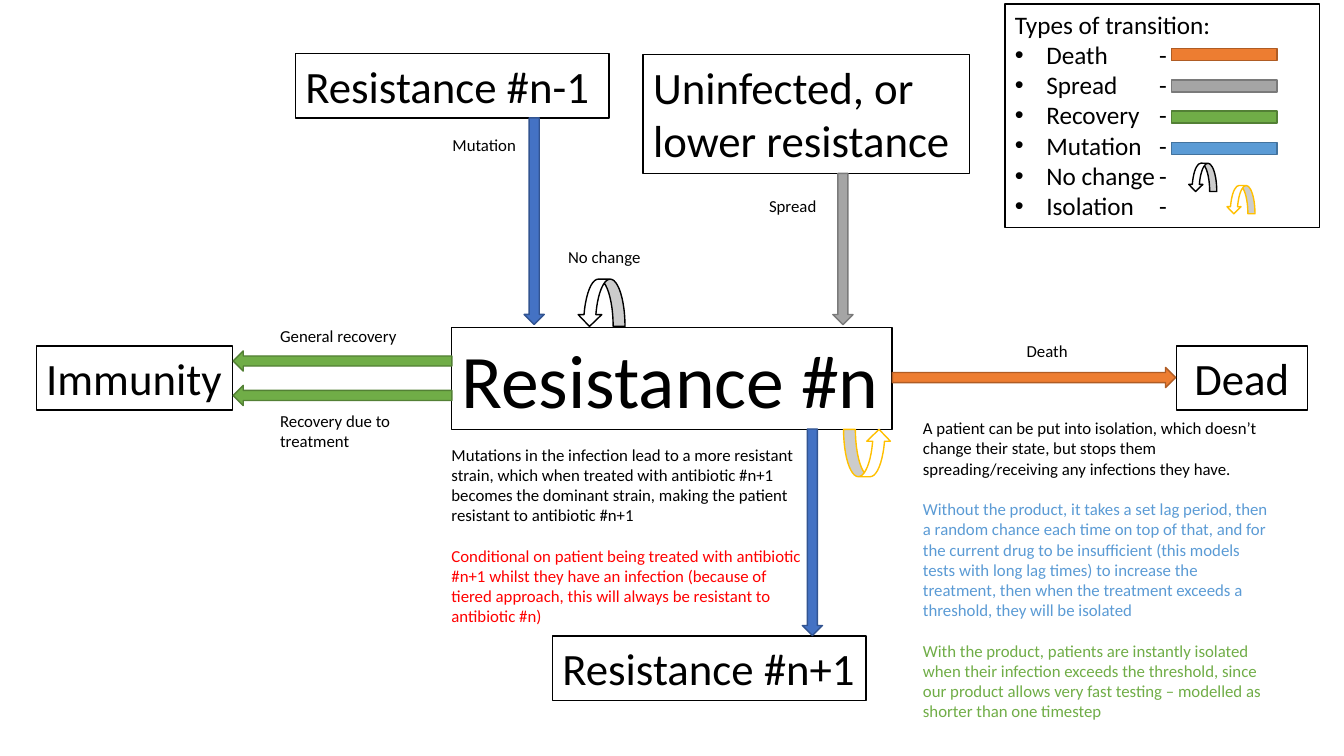
from lxml import etree
from pptx import Presentation
from pptx import util as u
from pptx.dml.color import RGBColor
from pptx.enum import shapes, text
from pptx.oxml import ns

Pt = u.Pt
Shape = shapes.MSO_SHAPE
BLACK, WHITE, RED, GOLD = "000000", "FFFFFF", "FF0000", "FFC000"
BLUE, ORANGE, GREY = ("4472C4", "325491"), ("ED7D31", "AF5C24"), ("A5A5A5", "7A7A7A")
GREEN, LIGHT_BLUE = ("70AD47", "538035"), ("5B9BD5", "43739E")

presentation = Presentation()
presentation.slide_width, presentation.slide_height = Pt(960), Pt(540)
slide = presentation.slides.add_slide(presentation.slide_layouts[6])


def add_figure(kind, box, fill, line, rotation=0):
    shape = slide.shapes.add_shape(kind, *map(Pt, box))
    shape.rotation = rotation
    shape.shadow.inherit = False
    shape.fill.solid()
    shape.fill.fore_color.rgb = RGBColor.from_string(fill)
    shape.line.color.rgb = RGBColor.from_string(line)
    shape.line.width = Pt(1)
    return shape


def write(shape, lines, size, gap=0, align=text.PP_ALIGN.LEFT):
    frame = shape.text_frame
    frame.word_wrap = True
    frame.vertical_anchor = text.MSO_ANCHOR.TOP
    for index, (words, color) in enumerate(lines):
        paragraph = frame.add_paragraph() if index else frame.paragraphs[0]
        paragraph.text = words
        paragraph.alignment = align
        paragraph.space_before = Pt(gap if index else 0)
        paragraph.font.name = "Calibri"
        paragraph.font.size = Pt(size)
        paragraph.font.color.rgb = RGBColor.from_string(color)
    return frame


states = [
    ("Resistance #n", (322.6, 234, 314.6, 72.7), 54),
    ("Resistance #n+1", (394.6, 454.3, 223.9, 46), 32),
    ("Resistance #n-1", (211, 38.2, 223.9, 46), 32),
    ("Immunity", (25.9, 247, 140.4, 46), 32),
    ("Uninfected, or lower resistance", (459.4, 38.9, 233.3, 85), 32),
]
for words, box, size in states:
    write(add_figure(Shape.RECTANGLE, box, WHITE, BLACK), [(words, BLACK)], size)
dead = add_figure(Shape.RECTANGLE, (840.2, 247, 93.6, 46), WHITE, BLACK)
write(dead, [("Dead", BLACK)], 32, align=text.PP_ALIGN.CENTER)

arrows = [
    (Shape.DOWN_ARROW, (374.4, 84.2, 14.4, 147.6), BLUE),
    (Shape.DOWN_ARROW, (573.1, 306.4, 14.4, 147.6), BLUE),
    (Shape.DOWN_ARROW, (594.9, 123.9, 14.4, 108), GREY),
    (Shape.RIGHT_ARROW, (637.4, 262.5, 202.3, 14.4), ORANGE),
    (Shape.LEFT_ARROW, (166.6, 250.7, 156.2, 14.4), GREEN),
    (Shape.LEFT_ARROW, (166.6, 275.3, 156.2, 14.4), GREEN),
]
for kind, box, colors in arrows:
    add_figure(kind, box, *colors)

labels = [
    ("General recovery", (193, 229, 104.4, 21.8)),
    ("Recovery due to treatment", (193, 289.8, 104.4, 36.4)),
    ("Death", (726.3, 239.8, 45.4, 21.8)),
    ("No change", (398.7, 172.8, 66.2, 21.8)),
    ("Mutation", (316.1, 92.9, 66.2, 21.8)),
    ("Spread", (542.2, 136.1, 66.2, 21.8)),
]
for words, box in labels:
    write(slide.shapes.add_textbox(*map(Pt, box)), [(words, BLACK)], 12)

notes = [
    ((315.4, 314, 264.2, 138.2), [
        ("Mutations in the infection lead to a more resistant strain, which when treated with "
         "antibiotic #n+1 becomes the dominant strain, making the patient resistant to "
         "antibiotic #n+1", BLACK),
        ("Conditional on patient being treated with antibiotic #n+1 whilst they have an "
         "infection (because of tiered approach, this will always be resistant to "
         "antibiotic #n)", RED),
    ]),
    ((652.2, 295, 264.2, 225.4), [
        ("A patient can be put into isolation, which doesn’t change their state, but stops "
         "them spreading/receiving any infections they have.", BLACK),
        ("Without the product, it takes a set lag period, then a random chance each time on "
         "top of that, and for the current drug to be insufficient (this models tests with "
         "long lag times) to increase the treatment, then when the treatment exceeds a "
         "threshold, they will be isolated", LIGHT_BLUE[0]),
        ("With the product, patients are instantly isolated when their infection exceeds the "
         "threshold, since our product allows very fast testing – modelled as shorter than "
         "one timestep", GREEN[0]),
    ]),
]
for box, lines in notes:
    write(slide.shapes.add_textbox(*map(Pt, box)), lines, 12, gap=14.65)

legend = add_figure(Shape.RECTANGLE, (717.8, 2.9, 224.6, 159.8), WHITE, BLACK)
transitions = ["Death", "Spread", "Recovery", "Mutation", "No change", "Isolation"]
entries = [("Types of transition:", BLACK)] + [(name + "\t-", BLACK) for name in transitions]
frame = write(legend, entries, 18)
for paragraph in frame.paragraphs[1:]:
    properties = paragraph._p.get_or_add_pPr()
    properties.set("marL", str(Pt(22.5)))
    properties.set("indent", str(-Pt(22.5)))
    bullet_font = etree.Element(ns.qn("a:buFont"), typeface="Arial")
    bullet = etree.Element(ns.qn("a:buChar"), char="•")
    tabs = etree.Element(ns.qn("a:tabLst"))
    etree.SubElement(tabs, ns.qn("a:tab"), pos=str(Pt(103)), algn="l")
    spacing = properties.find(ns.qn("a:spcBef"))
    for element in (tabs, bullet, bullet_font):
        spacing.addnext(element)

for row, colors in enumerate([ORANGE, GREY, GREEN, LIGHT_BLUE]):
    add_figure(Shape.RECTANGLE, (836.6, 34.8 + 22.3 * row, 75.6, 8.6), *colors)

loops = [
    (412.6, 199.4, 33.8, BLACK, 90),
    (602.6, 306.7, 33.8, GOLD, 270),
    (848.9, 116.6, 20.2, BLACK, 90),
    (876.2, 132.5, 20.2, GOLD, 90),
]
for left, top, side, line, rotation in loops:
    add_figure(Shape.CURVED_RIGHT_ARROW, (left, top, side, side), WHITE, line, rotation)

presentation.save("out.pptx")
